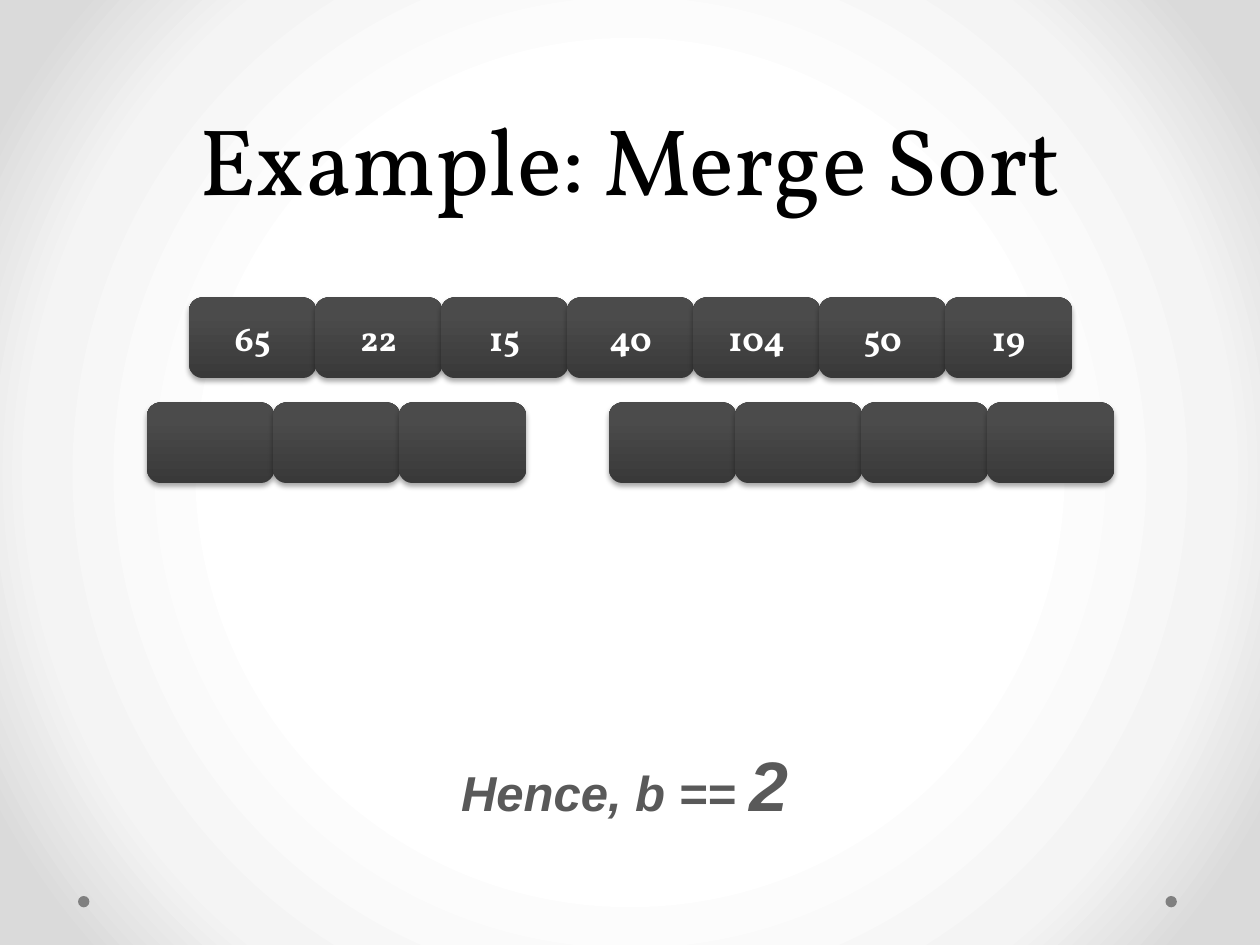
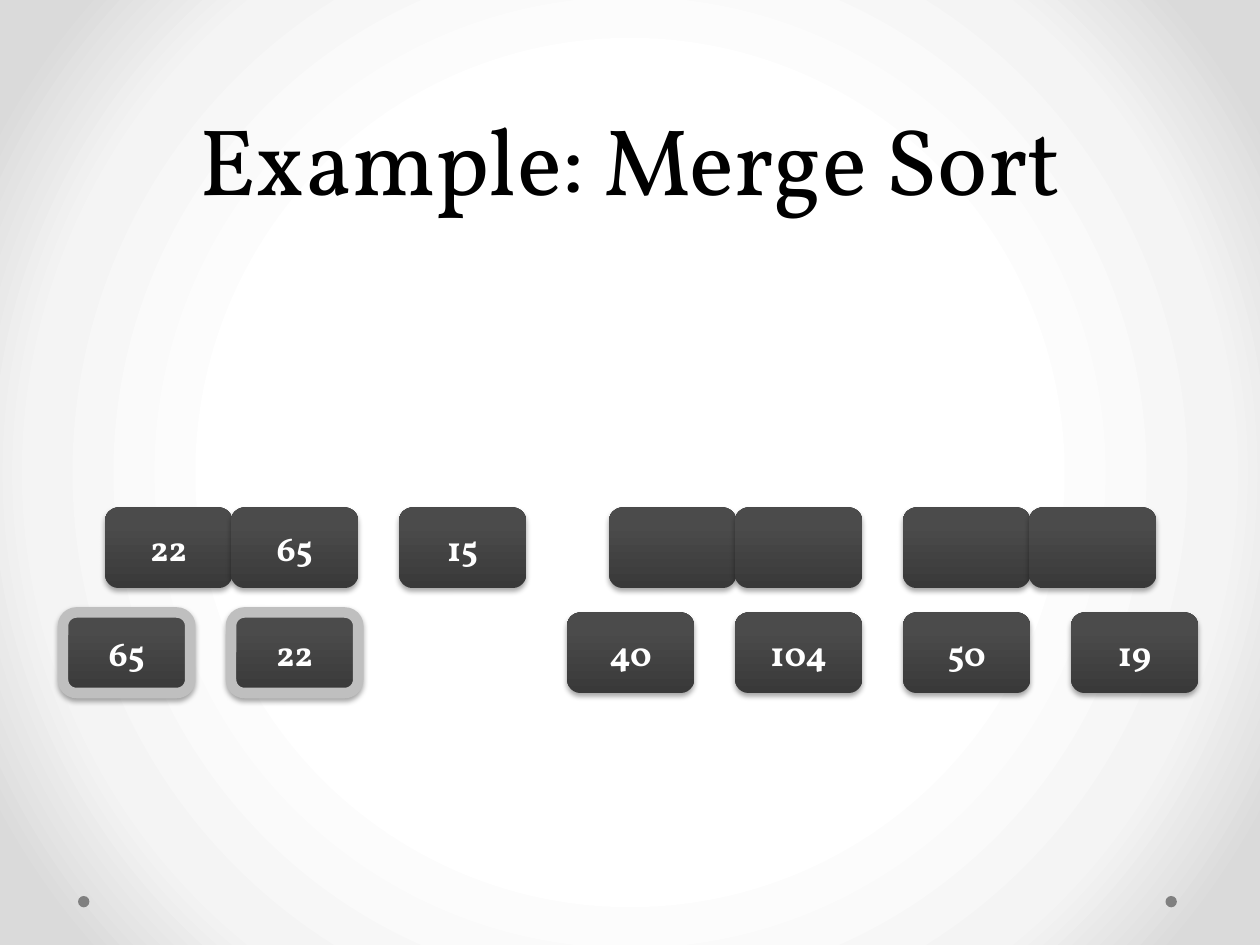
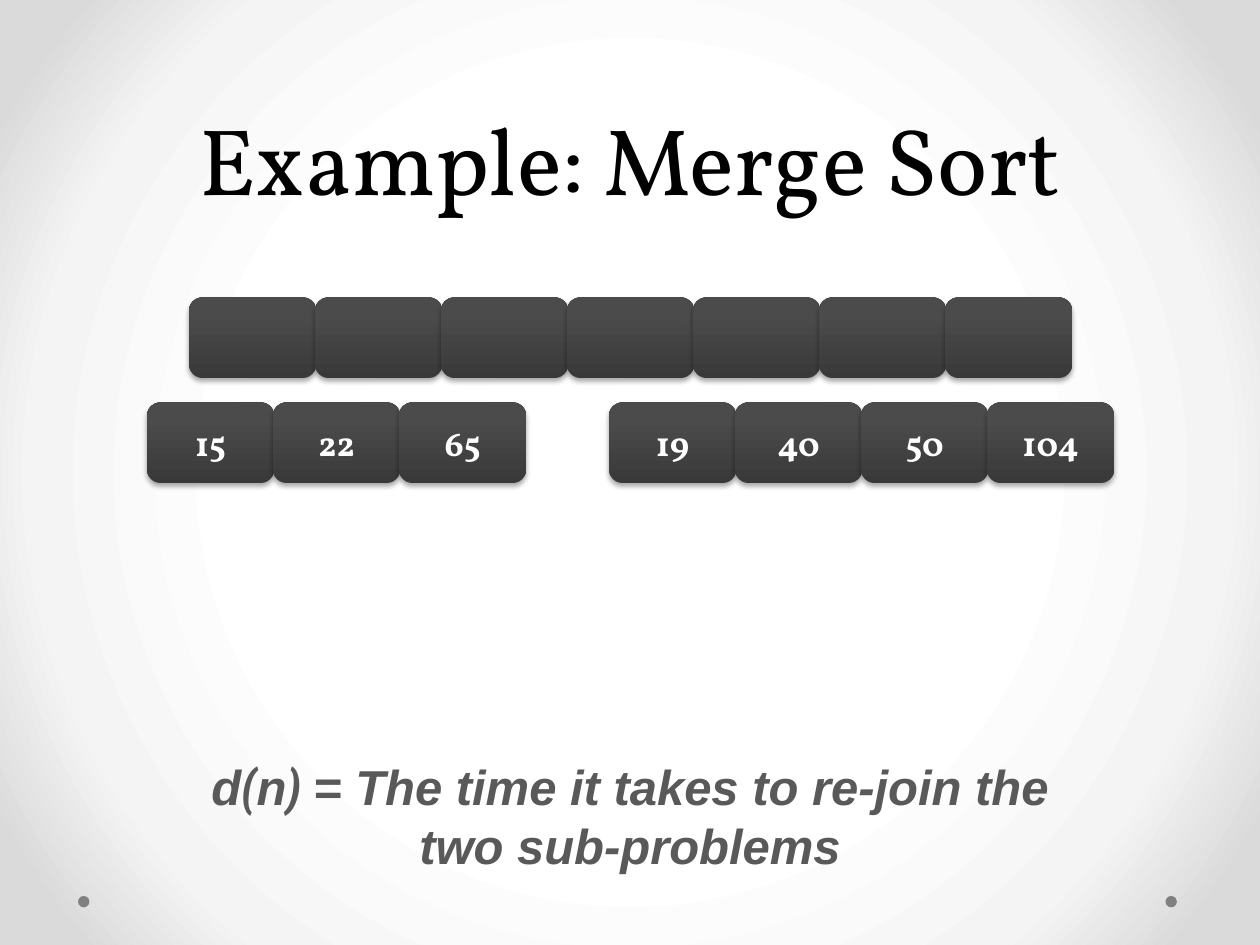
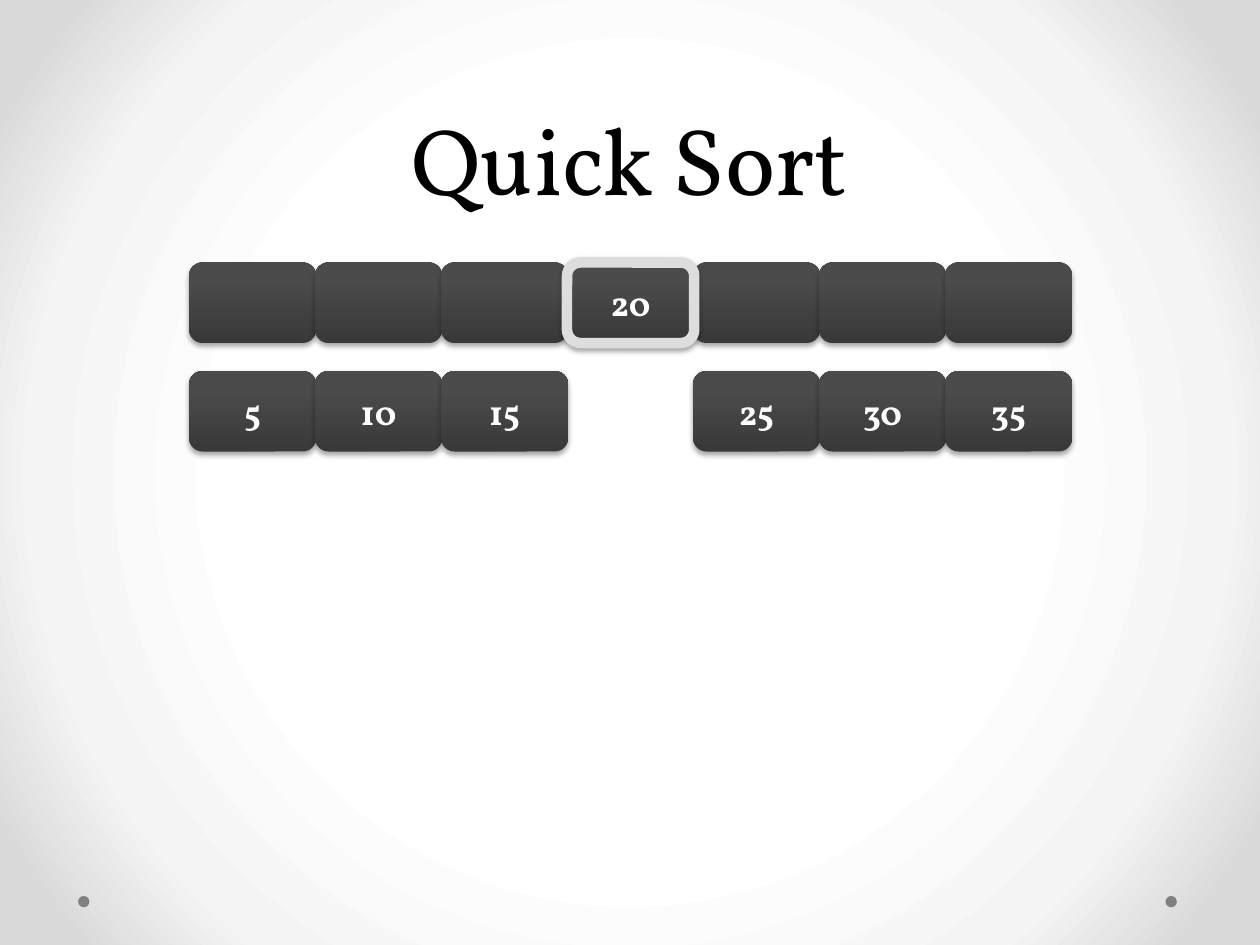
from dataclasses import dataclass
from typing import Any

from lxml import etree
from pptx import Presentation
from pptx.dml.color import RGBColor
from pptx.enum.shapes import MSO_SHAPE
from pptx.enum.text import MSO_ANCHOR, MSO_AUTO_SIZE, PP_ALIGN
from pptx.oxml import parse_xml
from pptx.oxml.ns import nsdecls, qn
from pptx.util import Pt

ROUNDED = MSO_SHAPE.ROUNDED_RECTANGLE
OVAL = MSO_SHAPE.OVAL
CENTER = PP_ALIGN.CENTER
MIDDLE = MSO_ANCHOR.MIDDLE
BOTTOM = MSO_ANCHOR.BOTTOM
FIT_SHAPE = MSO_AUTO_SIZE.SHAPE_TO_FIT_TEXT
NO_FIT = MSO_AUTO_SIZE.NONE

BLACK, WHITE, DOT_GREY, CAPTION_GREY = "000000", "FFFFFF", "808080", "595959"
FRAME_GREY, PIVOT_GREY = "BFBFBF", "DDDDDD"
BACKDROP_STOPS = ((50, "FFFFFF"), (76, "F4F4F4"), (92, "DADADA"))
BACKDROP_SHAPE = (
    '<a:path path="circle"><a:fillToRect l="50000" t="50000" r="50000" b="50000"/></a:path>'
)
TILE_STOPS = ((0, "393939"), (80, "4B4B4B"), (100, "4B4B4B"))
TILE_SHAPE = '<a:lin ang="16200000" scaled="0"/>'

TITLE_FORMAT = {"name": "Vollkorn", "size": Pt(54)}
TILE_FORMAT = {"name": "Vollkorn", "size": Pt(20), "bold": True}
CAPTION_FORMAT = {"bold": True, "italic": True}

TILE_WIDTH, TILE_HEIGHT = 72.7, 46
JOINED, SPACED = 72, 96
WHOLE_TOP, HALVES_TOP, PAIRS_TOP, SINGLES_TOP = (170 + 60 * level for level in range(4))
QUICK_TOP, PARTITION_TOP = 150, 212
DOT_LEFTS, DOT_TOP, DOT_SIZE = (44.6, 666), 512, 6.5


@dataclass
class TileRow:
    left: float
    top: float
    values: list[str]
    step: float = JOINED
    frame: str = ""


@dataclass
class CaptionRun:
    text: str
    font: str = "Arial"
    size: float = 28


@dataclass
class Caption:
    left: float
    top: float
    width: float
    height: float
    runs: list[CaptionRun]


@dataclass
class SortSlide:
    title: str
    rows: list[TileRow]
    caption: Caption | None = None


def blanks(count: int) -> list[str]:
    return [""] * count


SLIDES = [
    SortSlide(
        "Example: Merge Sort",
        [
            TileRow(108, WHOLE_TOP, ["65", "22", "15", "40", "104", "50", "19"]),
            TileRow(84, HALVES_TOP, blanks(3)),
            TileRow(348, HALVES_TOP, blanks(4)),
        ],
        Caption(156, 420, 402, 55, [CaptionRun("Hence, b == "), CaptionRun("2", size=40)]),
    ),
    SortSlide(
        "Example: Merge Sort",
        [
            TileRow(60, PAIRS_TOP, ["22", "65"]),
            TileRow(228, PAIRS_TOP, ["15"]),
            TileRow(348, PAIRS_TOP, blanks(2)),
            TileRow(516, PAIRS_TOP, blanks(2)),
            TileRow(324, SINGLES_TOP, ["40", "104", "50", "19"], SPACED),
            TileRow(36, SINGLES_TOP, ["65", "22"], SPACED, FRAME_GREY),
        ],
    ),
    SortSlide(
        "Example: Merge Sort",
        [
            TileRow(84, HALVES_TOP, ["15", "22", "65"]),
            TileRow(348, HALVES_TOP, ["19", "40", "50", "104"]),
            TileRow(108, WHOLE_TOP, blanks(7)),
        ],
        Caption(
            99, 429, 522, 75,
            [
                CaptionRun("d"),
                CaptionRun("(", "Roboto Condensed"),
                CaptionRun("n"),
                CaptionRun(") ", "Roboto Condensed"),
                CaptionRun("= The time it takes to re-join the two sub-problems"),
            ],
        ),
    ),
    SortSlide(
        "Quick Sort",
        [
            TileRow(108, PARTITION_TOP, ["5", "10", "15"]),
            TileRow(396, PARTITION_TOP, ["25", "30", "35"]),
            TileRow(108, QUICK_TOP, blanks(3)),
            TileRow(396, QUICK_TOP, blanks(3)),
            TileRow(324, QUICK_TOP, ["20"], frame=PIVOT_GREY),
        ],
    ),
]


def color(value: str) -> RGBColor:
    return RGBColor.from_string(value)


def apply_format(target: Any, values: dict[str, Any]) -> None:
    for name, value in values.items():
        setattr(target, name, value)


def format_font(font: Any, values: dict[str, Any], font_color: str) -> None:
    apply_format(font, values)
    font.color.rgb = color(font_color)


def set_gradient(fill: Any, holder: Any, stops: tuple, gradient_shape: str) -> None:
    fill.background()
    stop_list = "".join(
        f'<a:gs pos="{position * 1000}"><a:srgbClr val="{value}"/></a:gs>'
        for position, value in stops
    )
    gradient = parse_xml(
        f'<a:gradFill {nsdecls("a")} rotWithShape="1">'
        f"<a:gsLst>{stop_list}</a:gsLst>{gradient_shape}</a:gradFill>"
    )
    holder.replace(holder.find(qn("a:noFill")), gradient)


def add_shadow(shape: Any) -> None:
    shape.shadow.inherit = False
    effects = shape.element.spPr.find(qn("a:effectLst"))
    shadow = etree.SubElement(
        effects, qn("a:outerShdw"),
        blurRad=str(Pt(3.1)), dist=str(Pt(1.8)), dir="5400000", rotWithShape="0",
    )
    shadow_color = etree.SubElement(shadow, qn("a:srgbClr"), val=BLACK)
    etree.SubElement(shadow_color, qn("a:alpha"), val="35000")


def add_tile(slide: Any, left: float, top: float, value: str, frame: str) -> None:
    tile = slide.shapes.add_shape(ROUNDED, Pt(left), Pt(top), Pt(TILE_WIDTH), Pt(TILE_HEIGHT))
    set_gradient(tile.fill, tile.element.spPr, TILE_STOPS, TILE_SHAPE)
    if frame:
        tile.line.color.rgb = color(frame)
        tile.line.width = Pt(6)
    else:
        tile.line.fill.background()
    add_shadow(tile)
    if value:
        tile.text_frame.vertical_anchor = MIDDLE
        paragraph = tile.text_frame.paragraphs[0]
        paragraph.text = value
        paragraph.alignment = CENTER
        format_font(paragraph.runs[0].font, TILE_FORMAT, WHITE)


def add_row(slide: Any, row: TileRow) -> None:
    for index, value in enumerate(row.values):
        add_tile(slide, row.left + index * row.step, row.top, value, row.frame)


def add_caption(slide: Any, caption: Caption) -> None:
    box = slide.shapes.add_textbox(
        Pt(caption.left), Pt(caption.top), Pt(caption.width), Pt(caption.height)
    )
    apply_format(box.text_frame, {"word_wrap": True, "auto_size": FIT_SHAPE})
    paragraph = box.text_frame.paragraphs[0]
    paragraph.alignment = CENTER
    for caption_run in caption.runs:
        run = paragraph.add_run()
        run.text = caption_run.text
        values = {"name": caption_run.font, "size": Pt(caption_run.size), **CAPTION_FORMAT}
        format_font(run.font, values, CAPTION_GREY)


def set_title(slide: Any, text: str) -> None:
    title = slide.shapes.title
    apply_format(title, {"left": Pt(36), "top": Pt(0), "width": Pt(648), "height": Pt(126)})
    frame = title.text_frame
    apply_format(frame, {"word_wrap": True, "auto_size": NO_FIT, "vertical_anchor": BOTTOM})
    paragraph = frame.paragraphs[0]
    paragraph.text = text
    apply_format(paragraph, {"alignment": CENTER, "line_spacing": Pt(58)})
    format_font(paragraph.runs[0].font, TITLE_FORMAT, BLACK)


def decorate_layout(layout: Any, slide: Any) -> None:
    fill = layout.background.fill
    holder = layout.element.cSld.find(qn("p:bg")).find(qn("p:bgPr"))
    set_gradient(fill, holder, BACKDROP_STOPS, BACKDROP_SHAPE)
    for number, left in enumerate(DOT_LEFTS):
        dot = slide.shapes.add_shape(OVAL, Pt(left), Pt(DOT_TOP), Pt(DOT_SIZE), Pt(DOT_SIZE))
        dot.fill.solid()
        dot.fill.fore_color.rgb = color(DOT_GREY)
        dot.line.fill.background()
        dot.shadow.inherit = False
        dot.element.nvSpPr.cNvPr.set("id", str(100 + number))
        layout.shapes.element.append(dot.element)


def main() -> None:
    presentation = Presentation()
    apply_format(presentation, {"slide_width": Pt(720), "slide_height": Pt(540)})
    layout = presentation.slide_layouts[5]
    for index, content in enumerate(SLIDES):
        slide = presentation.slides.add_slide(layout)
        if index == 0:
            decorate_layout(layout, slide)
        set_title(slide, content.title)
        for row in content.rows:
            add_row(slide, row)
        if content.caption:
            add_caption(slide, content.caption)
    presentation.save("out.pptx")


if __name__ == "__main__":
    main()
